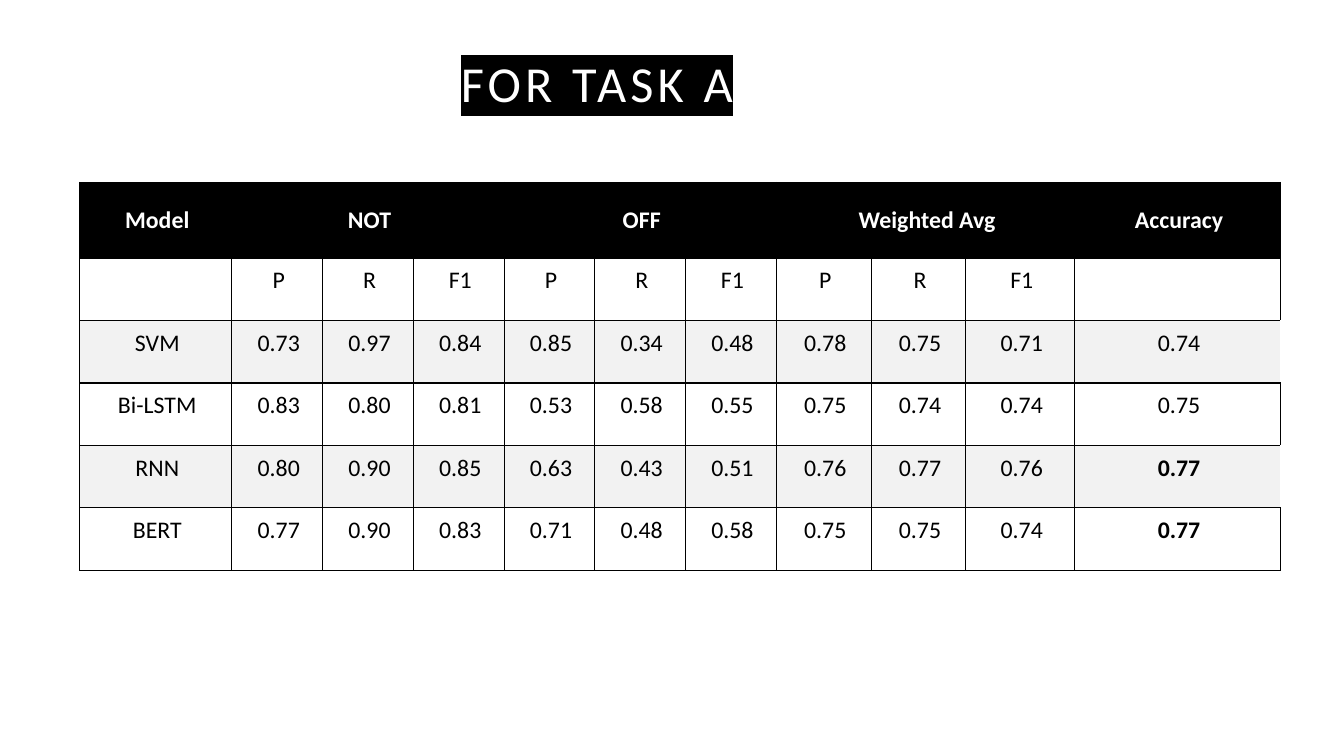
"""Build the slide of scores for task A."""
from lxml.etree import SubElement
from pptx import Presentation
from pptx.dml.color import RGBColor
from pptx.enum.text import MSO_ANCHOR, PP_ALIGN
from pptx.oxml.ns import qn
from pptx.util import Inches, Pt

TITLE = "FOR TASK A"
GROUPS = ["NOT", "OFF", "Weighted Avg"]
MARKS = ["P", "R", "F1"]
SCORES = [
    ("SVM", "0.73", "0.97", "0.84", "0.85", "0.34", "0.48", "0.78", "0.75", "0.71", "0.74"),
    ("Bi-LSTM", "0.83", "0.80", "0.81", "0.53", "0.58", "0.55", "0.75", "0.74", "0.74", "0.75"),
    ("RNN", "0.80", "0.90", "0.85", "0.63", "0.43", "0.51", "0.76", "0.77", "0.76", "0.77"),
    ("BERT", "0.77", "0.90", "0.83", "0.71", "0.48", "0.58", "0.75", "0.75", "0.74", "0.77"),
]
BEST = max(row[-1] for row in SCORES)
WIDTHS = [1.51] + [0.9] * 6 + [0.94, 0.94, 1.08, 2.04]
HEIGHTS = [0.75] + [0.62] * 5
COLORS = {"black": "000000", "white": "FFFFFF", "band": "F2F2F2"}
FONT = "Calibri"


def style(font, size, color, bold=False):
    font.name, font.size, font.bold = FONT, Pt(size), bold
    font.color.rgb = RGBColor.from_string(COLORS[color])


def edge(cell, sides):
    props = cell._tc.get_or_add_tcPr()
    for side in sides:
        line = SubElement(props, qn(f"a:ln{side}"), w=str(Pt(1)))
        fill = SubElement(line, qn("a:solidFill"))
        SubElement(fill, qn("a:srgbClr"), val=COLORS["black"])


def add_title(slide):
    title = slide.shapes.title
    title.left, title.top = Inches(4.47), Inches(0.13)
    title.width, title.height = Inches(11.62), Inches(1.04)
    frame = title.text_frame
    frame.vertical_anchor = MSO_ANCHOR.BOTTOM
    para = frame.paragraphs[0]
    para.alignment, para.line_spacing = PP_ALIGN.LEFT, 1.2
    style(para.font, 36, "white")
    run = para.add_run()
    run.text = TITLE
    props = run._r.get_or_add_rPr()
    props.set("spc", "300")
    mark = SubElement(props, qn("a:highlight"))
    SubElement(mark, qn("a:srgbClr"), val=COLORS["black"])


def fill_cell(cell, text, row, last):
    head, band = row == 0, row in (2, 4)
    edge(cell, "LTB" if band and last else "LRTB")
    if head or band:
        cell.fill.solid()
        cell.fill.fore_color.rgb = RGBColor.from_string(COLORS["black" if head else "band"])
    else:
        cell.fill.background()
    cell.margin_left, cell.margin_right = Inches(0.11), Inches(0.08)
    cell.margin_top, cell.margin_bottom = Inches(0.16 if head else 0.08), Inches(0.16)
    cell.vertical_anchor = MSO_ANCHOR.MIDDLE if head else MSO_ANCHOR.TOP
    cell.text = text
    para = cell.text_frame.paragraphs[0]
    para.alignment = PP_ALIGN.CENTER
    style(para.font, 17, "white" if head else "black", head or (last and text == BEST))


def add_scores(slide):
    head = ["Model"] + [text for group in GROUPS for text in (group, "", "")] + ["Accuracy"]
    rows = [head, ["", *MARKS * len(GROUPS), ""], *SCORES]
    table = slide.shapes.add_table(
        len(rows), len(WIDTHS), Inches(0.79), Inches(1.81),
        Inches(sum(WIDTHS)), Inches(sum(HEIGHTS))).table
    table.first_row = table.horz_banding = False
    for col, width in zip(table.columns, WIDTHS):
        col.width = Inches(width)
    for row, height in zip(table.rows, HEIGHTS):
        row.height = Inches(height)
    for r, row in enumerate(rows):
        for c, text in enumerate(row):
            fill_cell(table.cell(r, c), text, r, c == len(row) - 1)
    for start in range(1, 10, 3):
        table.cell(0, start).merge(table.cell(0, start + 2))


def main():
    deck = Presentation()
    deck.slide_width, deck.slide_height = Inches(13.33), Inches(7.5)
    slide = deck.slides.add_slide(deck.slide_layouts[5])
    add_title(slide)
    add_scores(slide)
    deck.save("out.pptx")


if __name__ == "__main__":
    main()
